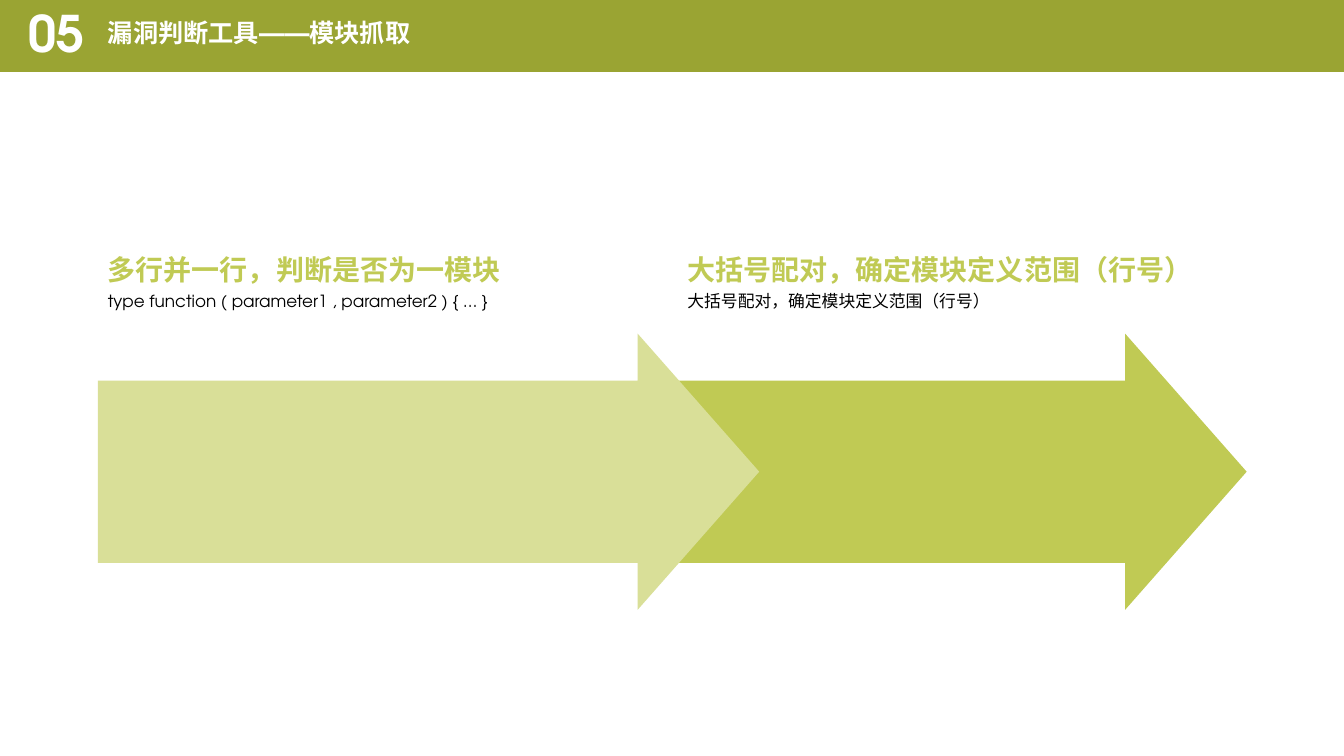
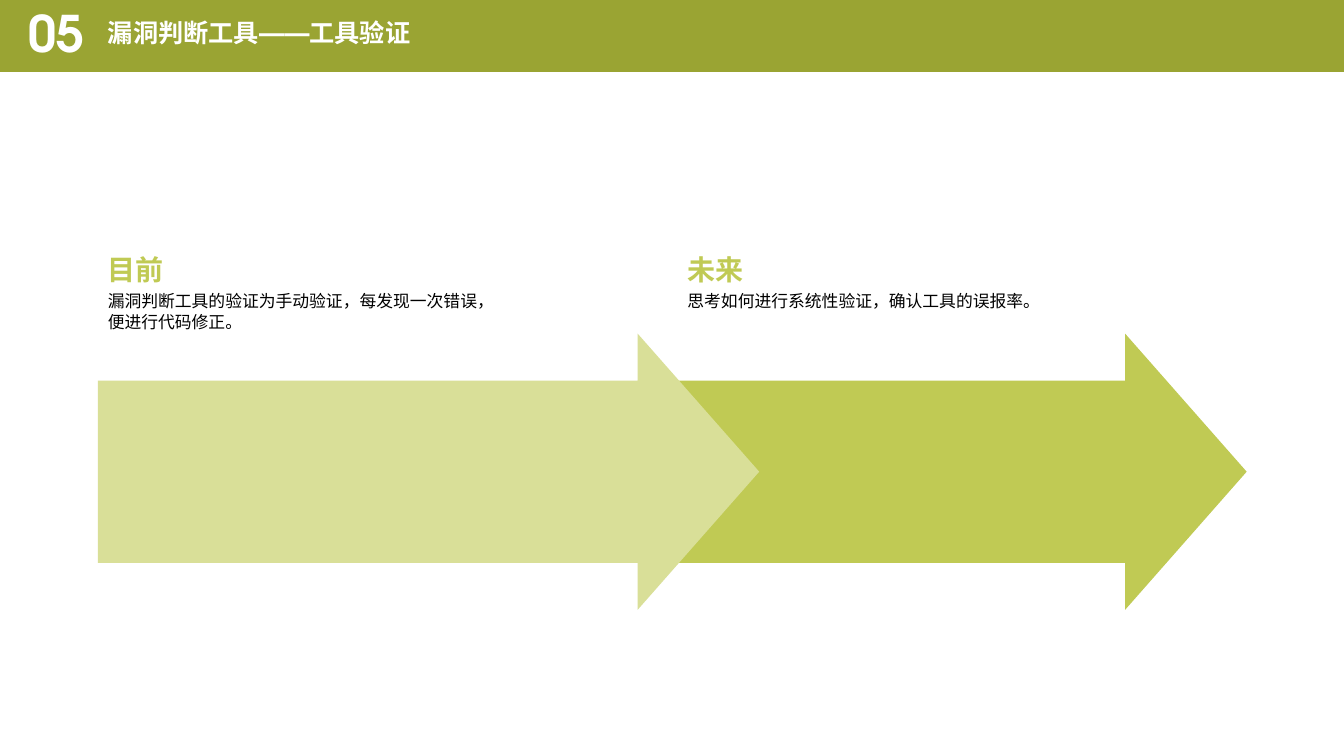
from lxml.etree import SubElement
from pptx import Presentation
from pptx.dml.color import RGBColor
from pptx.enum.shapes import MSO_SHAPE
from pptx.enum.text import MSO_ANCHOR, MSO_AUTO_SIZE, PP_ALIGN
from pptx.oxml.ns import qn
from pptx.util import Inches, Pt

SLIDES = [
    ("漏洞判断工具——模块抓取",
     ("多行并一行，判断是否为一模块", "type function ( parameter1 , parameter2 ) { … }"),
     ("大括号配对，确定模块定义范围（行号）", "大括号配对，确定模块定义范围（行号）")),
    ("漏洞判断工具——工具验证",
     ("目前", "漏洞判断工具的验证为手动验证，每发现一次错误，便进行代码修正。"),
     ("未来", "思考如何进行系统性验证，确认工具的误报率。")),
]


def color(hex_string):
    return RGBColor.from_string(hex_string)


class Deck:
    """Holds the style and the current slide; boxes are percentages of the slide."""

    olive, lime, pale, white, black = "9AA433", "C0CA54", "D9DF98", "FFFFFF", "000000"
    body_font, heading_font = "TeX Gyre Adventor", "Noto Sans CJK SC"

    def __init__(self):
        self.presentation = Presentation()
        self.presentation.slide_width = Inches(13.33)
        self.presentation.slide_height = Inches(7.5)
        self.slide = None

    def place(self, left, top, width, height):
        across = self.presentation.slide_width / 100
        down = self.presentation.slide_height / 100
        return (round(left * across), round(top * down),
                round(width * across), round(height * down))

    def set_text(self, shape, text, size, text_color, font=body_font, bold=False,
                 spacing=1.0, anchor=MSO_ANCHOR.TOP, fit=MSO_AUTO_SIZE.NONE):
        frame = shape.text_frame
        frame.text = text
        frame.word_wrap = True
        frame.auto_size = fit
        frame.vertical_anchor = anchor
        paragraph = frame.paragraphs[0]
        paragraph.alignment = PP_ALIGN.LEFT
        paragraph.line_spacing = spacing
        paragraph.space_before = Pt(0)
        paragraph.font.size = Pt(size)
        paragraph.font.bold = bold
        paragraph.font.color.rgb = color(text_color)
        paragraph.font.name = font
        properties = paragraph._p.pPr.find(qn("a:defRPr"))
        SubElement(properties, qn("a:ea"), typeface=font)

    def text(self, shapes, box, text, size, text_color, **style):
        shape = shapes.add_textbox(*self.place(*box))
        self.set_text(shape, text, size, text_color, **style)

    def block(self, shapes, kind, box, fill):
        shape = shapes.add_shape(kind, *self.place(*box))
        shape.shadow.inherit = False
        shape.fill.solid()
        shape.fill.fore_color.rgb = color(fill)
        shape.line.fill.background()
        return shape

    def start_slide(self, title_text, section):
        layout = self.presentation.slide_layouts[5]
        self.slide = self.presentation.slides.add_slide(layout)
        shapes = self.slide.shapes
        title = shapes.title
        title.left, title.top, title.width, title.height = self.place(7.28, 2.13, 31.36, 5.33)
        self.set_text(title, title_text, 18, self.white, bold=True, spacing=0.9)
        band = self.block(shapes, MSO_SHAPE.RECTANGLE, (0, 0, 100, 9.5), self.olive)
        title.element.addprevious(band.element)
        self.text(shapes, (1.35, 1.2, 5.93, 7.07), section, 36, self.white,
                  bold=True, spacing=0.9, anchor=MSO_ANCHOR.MIDDLE)

    def stage(self, arrow_left, arrow_width, text_left, fill, heading, detail):
        shapes = self.slide.shapes.add_group_shape().shapes
        arrow = self.block(shapes, MSO_SHAPE.RIGHT_ARROW,
                           (arrow_left, 44.13, arrow_width, 36.53), fill)
        arrow.adjustments[0] = 0.66
        arrow.adjustments[1] = 0.44
        grow = MSO_AUTO_SIZE.SHAPE_TO_FIT_TEXT
        self.text(shapes, (text_left, 37.87, 30, 4), detail, 12, self.black, fit=grow)
        self.text(shapes, (text_left, 31.47, 39.46, 6.67), heading, 20, self.lime,
                  font=self.heading_font, bold=True, spacing=1.3, fit=grow)


def main():
    deck = Deck()
    for title, first, second in SLIDES:
        deck.start_slide(title, "05")
        deck.stage(50, 42.76, 50.41, deck.lime, *second)
        deck.stage(7.28, 49.21, 7.28, deck.pale, *first)
    deck.presentation.save("out.pptx")


if __name__ == "__main__":
    main()
